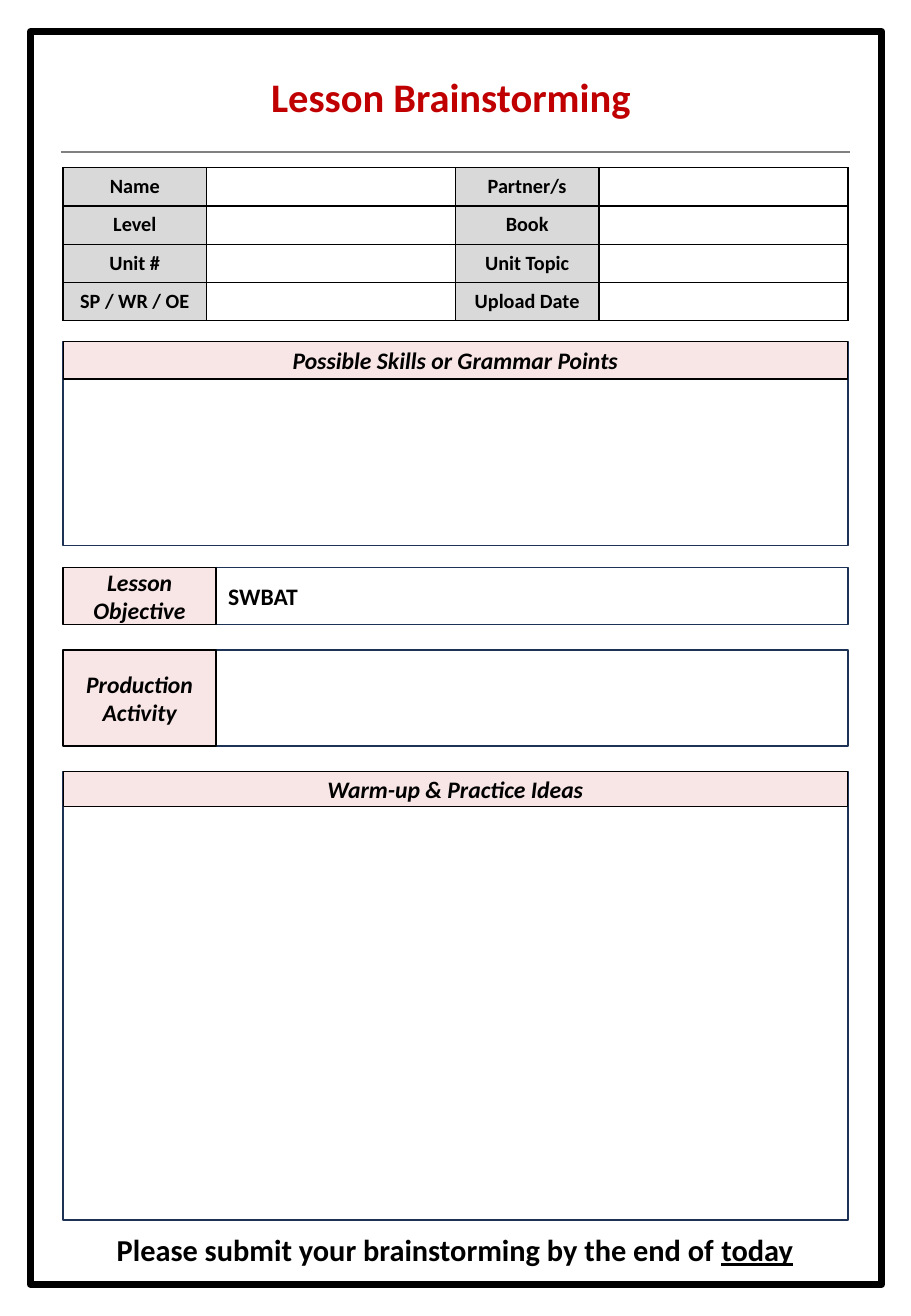
"""Build a one-page lesson brainstorming form."""
from lxml import etree
from pptx import Presentation
from pptx import util as u
from pptx.dml.color import RGBColor
from pptx.enum import shapes, text
from pptx.oxml.ns import qn

PX = 9144
FONT = "Calibri"
COLORS = {"black": "000000", "white": "FFFFFF", "title": "C00000", "rule": "808080",
          "label": "D9D9D9", "heading": "F8E5E5", "outline": "1E3256"}
LEFT, WIDTH = 52, 646
LABEL_WIDTH = 126
DETAILS = [("Name", "Partner/s"), ("Level", "Book"),
           ("Unit #", "Unit Topic"), ("SP / WR / OE", "Upload Date")]


def px(*lengths):
    """Turn px lengths into EMU."""
    return [u.Emu(n * PX) for n in lengths]


def rgb(name):
    """Look up a named colour."""
    return RGBColor.from_string(COLORS[name])


def style(p, size, color="black", italic=False, align=text.PP_ALIGN.CENTER):
    """Format a paragraph in the form's bold face."""
    p.alignment = align
    p.font.name, p.font.size = FONT, u.Pt(size)
    p.font.bold, p.font.italic = True, italic
    p.font.color.rgb = rgb(color)


def add_box(slide, box, fill, line, weight, words="", **look):
    """Add an outlined rectangle with optional centred words."""
    sp = slide.shapes.add_shape(shapes.MSO_SHAPE.RECTANGLE, *px(*box))
    sp.shadow.inherit = False
    if fill:
        sp.fill.solid()
        sp.fill.fore_color.rgb = rgb(fill)
    else:
        sp.fill.background()
    sp.line.color.rgb = rgb(line)
    sp.line.width = u.Pt(weight)
    if words:
        tf = sp.text_frame
        tf.word_wrap = True
        tf.vertical_anchor = text.MSO_ANCHOR.MIDDLE
        tf.text = words
        style(tf.paragraphs[0], 14, **look)


def add_header(slide, x, y, w):
    """Place the title above its rule."""
    title = slide.shapes.title
    title.left, title.top, title.width, title.height = px(x + 128, y, 394, 47)
    tf = title.text_frame
    tf.text = "Lesson Brainstorming "
    tf.vertical_anchor = text.MSO_ANCHOR.MIDDLE
    p = tf.paragraphs[0]
    p.line_spacing = 0.9
    style(p, 24, "title")
    rule = slide.shapes.add_connector(shapes.MSO_CONNECTOR.STRAIGHT,
                                      *px(x, y + 67, x + w, y + 67))
    rule.line.color.rgb = rgb("rule")
    rule.line.width = u.Pt(1.5)
    etree.SubElement(rule._element.spPr, qn("a:effectLst"))


def add_borders(cell):
    """Draw a thin black line on each side of a cell."""
    tc_pr = cell._tc.get_or_add_tcPr()
    for i, side in enumerate("LRTB"):
        ln = etree.Element(qn(f"a:ln{side}"), w=str(u.Pt(1)))
        fill = etree.SubElement(ln, qn("a:solidFill"))
        etree.SubElement(fill, qn("a:srgbClr"), val=COLORS["black"])
        tc_pr.insert(i, ln)


def add_details(slide, x, y, w, h):
    """Place the table of labels and blank fields."""
    table = slide.shapes.add_table(len(DETAILS), 4, *px(x, y, w, h)).table
    for col, width in zip(table.columns, px(118, 205, 118, 205)):
        col.width = width
    for row, labels in zip(table.rows, DETAILS):
        row.height = u.Emu(h * PX // len(DETAILS))
        for i, cell in enumerate(row.cells):
            is_label = i % 2 == 0
            cell.text = labels[i // 2] if is_label else ""
            cell.margin_top = cell.margin_bottom = 0
            cell.vertical_anchor = text.MSO_ANCHOR.MIDDLE
            cell.fill.solid()
            cell.fill.fore_color.rgb = rgb("label" if is_label else "white")
            style(cell.text_frame.paragraphs[0], 12)
            add_borders(cell)


def add_panel(slide, x, y, w, h, heading, heading_height):
    """Place a blank panel with a heading strip on top."""
    add_box(slide, (x, y, w, h), "white", "outline", 1)
    add_box(slide, (x, y, w, heading_height), "heading", "black", 0.75, heading, italic=True)


def add_field(slide, x, y, w, h, label, words=""):
    """Place a field with its label on the left."""
    add_box(slide, (x + LABEL_WIDTH, y, w - LABEL_WIDTH, h), "white", "outline", 1,
            words, align=text.PP_ALIGN.LEFT)
    add_box(slide, (x, y, LABEL_WIDTH, h), "heading", "black", 1, label, italic=True)


def add_reminder(slide, x, y, w, h):
    """Place the closing line with its deadline underlined."""
    tf = slide.shapes.add_textbox(*px(x, y, w, h)).text_frame
    tf.word_wrap = True
    p = tf.paragraphs[0]
    p.add_run().text = "Please submit your brainstorming by the end of "
    deadline = p.add_run()
    deadline.text = "today"
    deadline.font.underline = True
    style(p, 18)


def main():
    """Build and save the form."""
    prs = Presentation()
    prs.slide_width, prs.slide_height = px(750, 1083)
    slide = prs.slides.add_slide(prs.slide_layouts[5])
    add_box(slide, (25, 26, 701, 1031), None, "black", 4)
    add_header(slide, 50, 58, 650)
    add_details(slide, LEFT, 138, WIDTH, 126)
    add_panel(slide, LEFT, 281, WIDTH, 168, "Possible Skills or Grammar Points", 31)
    add_field(slide, LEFT, 467, WIDTH, 47, "Lesson Objective", "SWBAT")
    add_field(slide, LEFT, 535, WIDTH, 79, "Production Activity")
    add_panel(slide, LEFT, 635, WIDTH, 369, "Warm-up & Practice Ideas", 29)
    add_reminder(slide, 49, 1008, 651, 40)
    prs.save("out.pptx")


if __name__ == "__main__":
    main()
